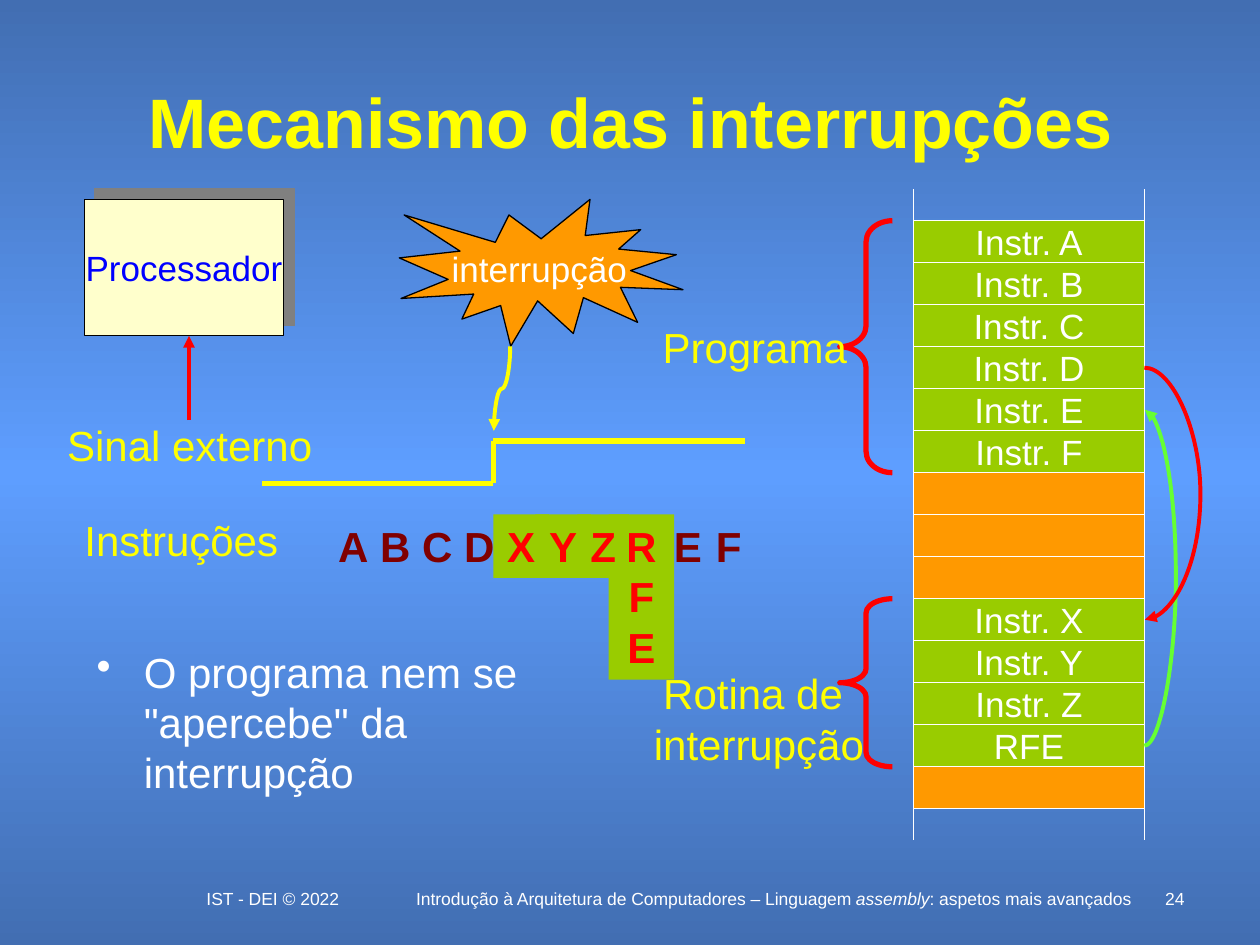
from copy import deepcopy

from lxml import etree
from pptx import Presentation
from pptx.dml.color import RGBColor
from pptx.enum.shapes import MSO_CONNECTOR, MSO_SHAPE
from pptx.enum.text import MSO_ANCHOR, MSO_AUTO_SIZE, PP_ALIGN
from pptx.oxml.ns import qn
from pptx.util import Cm, Pt

RECTANGLE = MSO_SHAPE.RECTANGLE
BRACE = MSO_SHAPE.LEFT_BRACE
STRAIGHT, CURVE = MSO_CONNECTOR.STRAIGHT, MSO_CONNECTOR.CURVE
LEFT, CENTER, RIGHT = PP_ALIGN.LEFT, PP_ALIGN.CENTER, PP_ALIGN.RIGHT
MIDDLE, TOP = MSO_ANCHOR.MIDDLE, MSO_ANCHOR.TOP

COLORS = {
    "edge": "426EB2", "center": "5E9EFF", "white": "FFFFFF", "black": "000000",
    "yellow": "FFFF00", "orange": "FF9900", "green": "99CC00", "lime": "66FF33",
    "red": "FF0000", "maroon": "800000", "blue": "0000FF", "cream": "FFFFCC",
    "gray": "808080",
}
RGB = {name: RGBColor.from_string(value) for name, value in COLORS.items()}

STEP = 2.54 / 3
MEMORY_LEFT, MEMORY_TOP, MEMORY_WIDTH = 18.42, 4.45, 4.65
MEMORY_RIGHT = MEMORY_LEFT + MEMORY_WIDTH
SIGNAL_LEFT, SIGNAL_LOW, SIGNAL_HIGH = 6.56, 9.74, 8.89
LETTERS_TOP = 10.37

presentation = Presentation()
presentation.slide_width, presentation.slide_height = Cm(25.4), Cm(19.05)
slide = presentation.slides.add_slide(presentation.slide_layouts[5])
shapes = slide.shapes


def write(shape, text, size, color, bold=False, align=CENTER, anchor=TOP, wrap=False, grow=False):
    frame = shape.text_frame
    frame.text = text
    frame.word_wrap = wrap
    frame.vertical_anchor = anchor
    frame.auto_size = MSO_AUTO_SIZE.SHAPE_TO_FIT_TEXT if grow else MSO_AUTO_SIZE.NONE
    for paragraph in frame.paragraphs:
        paragraph.alignment = align
        for run in paragraph.runs:
            run.font.name, run.font.size, run.font.bold = "Arial", Pt(size), bold
            run.font.color.rgb = RGB[color]


def draw_line(kind, start, end, color, width, arrow=False, bend=None):
    line = shapes.add_connector(kind, Cm(start[0]), Cm(start[1]), Cm(end[0]), Cm(end[1]))
    line.line.color.rgb = RGB[color]
    line.line.width = Pt(width)
    properties = line._element.spPr
    if arrow:
        etree.SubElement(line.line._get_or_add_ln(), qn("a:tailEnd"), type="triangle")
    etree.SubElement(properties, qn("a:effectLst"))
    if bend:
        guides = properties.find(qn("a:prstGeom")).get_or_add_avLst()
        etree.SubElement(guides, qn("a:gd"), name="adj1", fmla=f"val {bend}")
    return line


background = slide.background.fill
background.gradient()
background.gradient_angle = 90
first_stop = background.gradient_stops[0]._gs
first_stop.addnext(deepcopy(first_stop))
for stop, position, color in zip(background.gradient_stops, (0, 0.5, 1), ("edge", "center", "edge")):
    stop.position = position
    stop.color.rgb = RGB[color]

title = shapes.title
title.left, title.top, title.width, title.height = Cm(1.7), Cm(1.47), Cm(22.02), Cm(1.9)
write(title, "Mecanismo das interrupções", 40, "yellow", bold=True, anchor=MIDDLE, wrap=True)

footers = [
    (8.05, 15.09, 0.64, CENTER, "Introdução à Arquitetura de Computadores – Linguagem "),
    (23.07, 1.06, 0.43, RIGHT, "24"),
    (3.38, 4.24, 0.64, CENTER, "IST - DEI © 2022"),
]
for left, width, height, align, text in footers:
    footer = shapes.add_textbox(Cm(left), Cm(17.78), Cm(width), Cm(height))
    write(footer, text, 10, "white", align=align, wrap=True)
    if "Linguagem" in text:
        for extra, italic in (("assembly", True), (": aspetos mais avançados", False)):
            run = footer.text_frame.paragraphs[0].add_run()
            run.text = extra
            run.font.name, run.font.size, run.font.italic = "Arial", Pt(10), italic
            run.font.color.rgb = RGB["white"]

for x in (MEMORY_LEFT, MEMORY_RIGHT):
    draw_line(STRAIGHT, (x, 3.81), (x, 16.93), "white", 0.75)

memory = [f"Instr. {letter}" for letter in "ABCDEF"] + [""] * 3
memory += [f"Instr. {letter}" for letter in "XYZ"] + ["RFE", ""]
for row, instruction in enumerate(memory):
    cell = shapes.add_shape(RECTANGLE, Cm(MEMORY_LEFT), Cm(MEMORY_TOP + row * STEP),
                            Cm(MEMORY_WIDTH), Cm(STEP))
    cell.shadow.inherit = False
    cell.fill.solid()
    cell.fill.fore_color.rgb = RGB["green" if instruction else "orange"]
    cell.line.color.rgb = RGB["white"]
    cell.line.width = Pt(0.75)
    if instruction:
        write(cell, instruction, 20, "white", anchor=MIDDLE)

for first_row, rows, curl in ((0, 6, 0.4), (9, 4, 0.27)):
    brace = shapes.add_shape(BRACE, Cm(16.93), Cm(MEMORY_TOP + first_row * STEP),
                             Cm(1.06), Cm(rows * STEP))
    brace.adjustments[0] = curl
    brace.shadow.inherit = False
    brace.fill.background()
    brace.line.color.rgb = RGB["red"]
    brace.line.width = Pt(3)

labels = [
    (13.08, 6.35, 4.27, 1.3, "Programa"),
    (12.9, 13.34, 4.8, 2.31, "Rotina de \ninterrupção"),
    (1.07, 8.33, 5.51, 1.3, "Sinal externo"),
    (1.42, 10.24, 4.47, 1.3, "Instruções"),
]
for left, top, width, height, text in labels:
    label = shapes.add_textbox(Cm(left), Cm(top), Cm(width), Cm(height))
    write(label, text, 24, "yellow", grow=True)

callouts = [
    (RECTANGLE, 1.7, 4.02, 4.02, 2.75, "cream", "Processador", "blue"),
    (MSO_SHAPE.EXPLOSION1, 8.05, 4.02, 5.72, 2.96, "orange", "interrupção", "white"),
]
for kind, left, top, width, height, fill, text, color in callouts:
    callout = shapes.add_shape(kind, Cm(left), Cm(top), Cm(width), Cm(height))
    callout.shadow.inherit = False
    callout.fill.solid()
    callout.fill.fore_color.rgb = RGB[fill]
    callout.line.color.rgb = RGB["black"]
    callout.line.width = Pt(0.75)
    write(callout, text, 20, color, anchor=MIDDLE)
    if kind == RECTANGLE:
        effects = callout._element.spPr.find(qn("a:effectLst"))
        shadow = etree.SubElement(effects, qn("a:outerShdw"), dist=str(Pt(8.5)),
                                  dir="18900000", algn="ctr", rotWithShape="0")
        etree.SubElement(shadow, qn("a:srgbClr"), val=COLORS["gray"])

sequence = ["A", "B", "C", "D", "X", "Y", "Z", "RFE", "E", "F"]
letter_widths = {"Z": 1.04, "E": 1.07, "F": 1.02}
for slot in (7, 0, 1, 2, 3, 8, 9, 4, 5, 6):
    name = sequence[slot]
    x = SIGNAL_LEFT + slot * STEP
    y = SIGNAL_LOW if slot < 4 else SIGNAL_HIGH
    draw_line(STRAIGHT, (x, y), (x + STEP, y), "yellow", 3)
    routine = name in ("X", "Y", "Z", "RFE")
    tall = name == "RFE"
    left, width, height = (12.27, 1.32, 3.33) if tall else (x, letter_widths.get(name, 1.12), 1.28)
    letter = shapes.add_textbox(Cm(left), Cm(LETTERS_TOP), Cm(width), Cm(height))
    if routine:
        letter.fill.solid()
        letter.fill.fore_color.rgb = RGB["green"]
    write(letter, name, 24, "red" if routine else "maroon", bold=True, wrap=tall, grow=True)

rise = SIGNAL_LEFT + 4 * STEP
draw_line(STRAIGHT, (SIGNAL_LEFT, SIGNAL_LOW), (5.29, SIGNAL_LOW), "yellow", 3)
draw_line(STRAIGHT, (rise, SIGNAL_HIGH), (rise, SIGNAL_LOW), "yellow", 3)
draw_line(STRAIGHT, (3.81, 8.47), (3.81, 6.77), "red", 2.25, arrow=True)

trigger = draw_line(CURVE, (9.27, 7.67), (10.97, 8.0), "yellow", 2.25, arrow=True, bend=50000)
trigger._element.spPr.find(qn("a:xfrm")).set("rot", "5400000")

for from_row, to_row, color, bend in ((12, 4, "lime", 6350000), (3, 9, "red", 11300000)):
    start_y, end_y = (MEMORY_TOP + (row + 0.5) * STEP for row in (from_row, to_row))
    draw_line(CURVE, (MEMORY_RIGHT, start_y), (MEMORY_RIGHT + 0.01, end_y), color, 2.25,
              arrow=True, bend=bend)

body = shapes.add_textbox(Cm(1.7), Cm(12.9), Cm(9.32), Cm(3.91))
write(body, 'O programa nem se "apercebe" da interrupção', 24, "white", align=LEFT, wrap=True)
paragraph = body.text_frame.paragraphs[0]
paragraph.space_before = Pt(5)
bullet = paragraph._p.get_or_add_pPr()
bullet.set("marL", str(Cm(0.95)))
bullet.set("indent", str(Cm(-0.95)))
etree.SubElement(bullet, qn("a:buChar"), char="•")

presentation.save("out.pptx")
